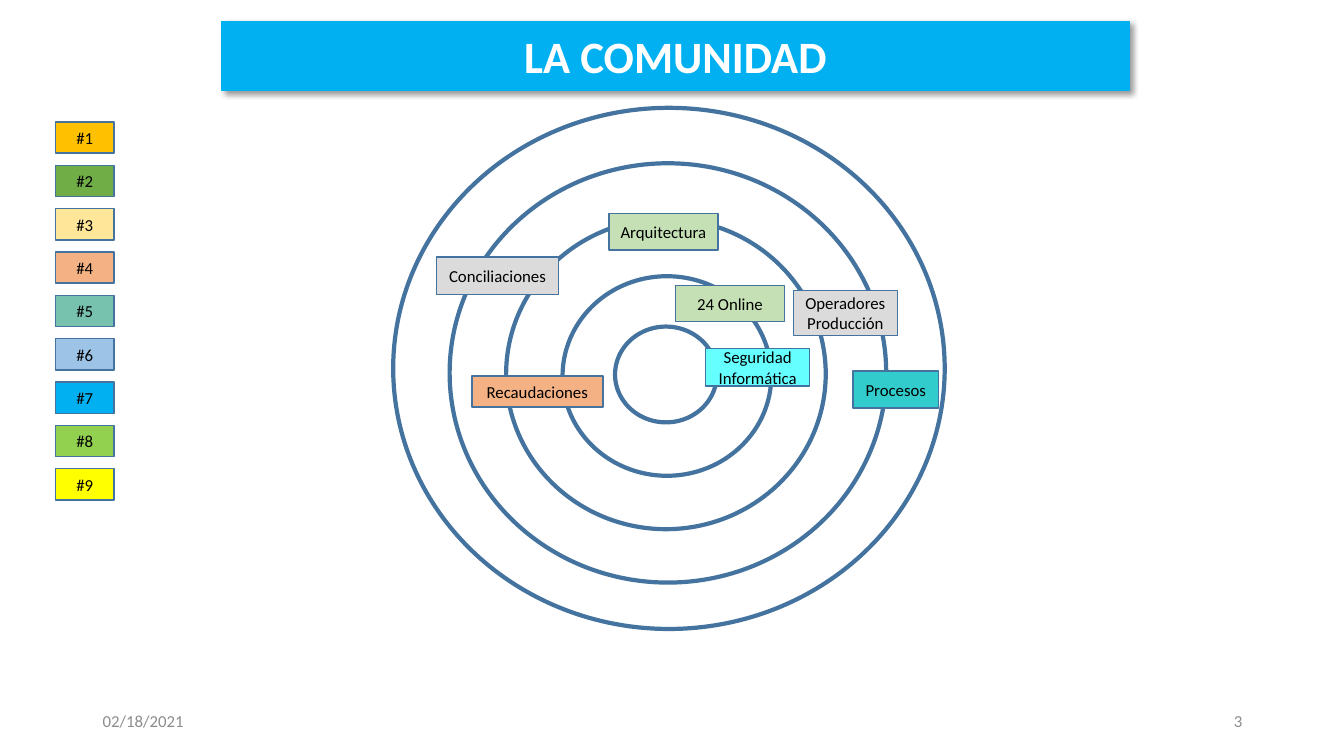
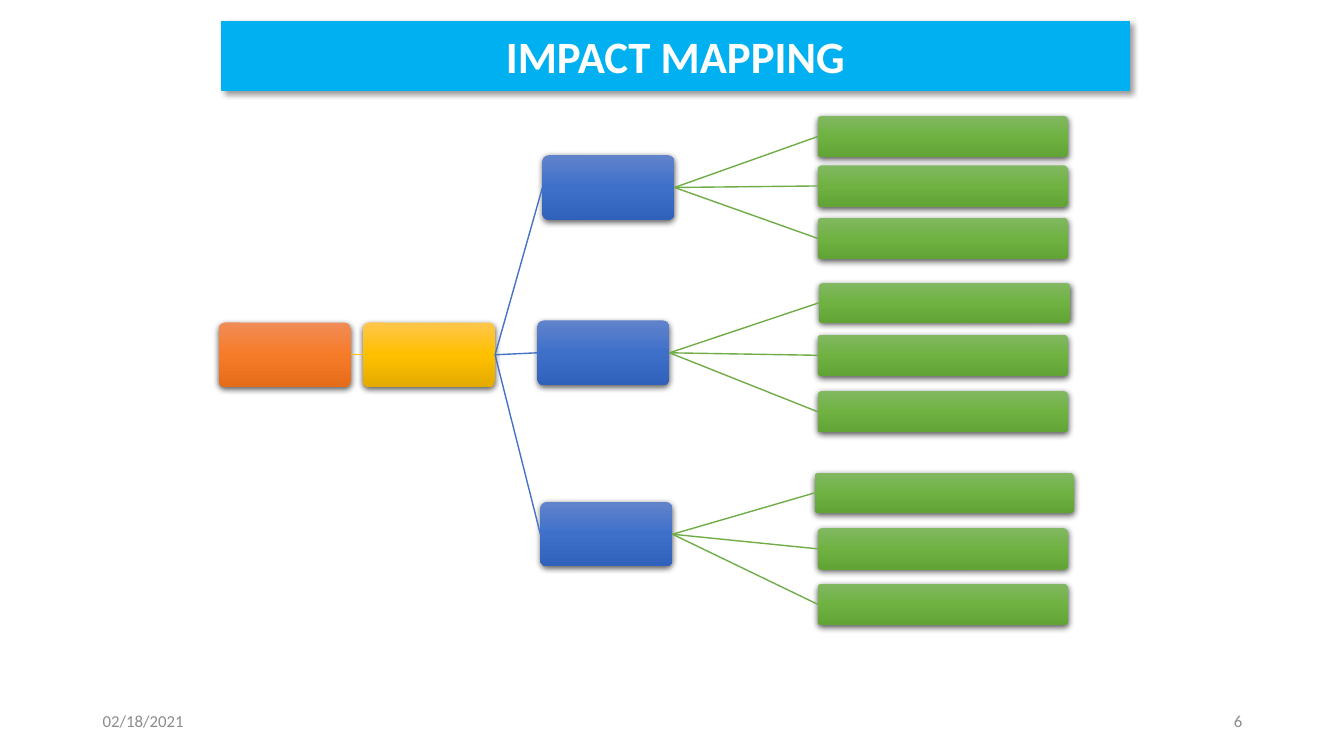
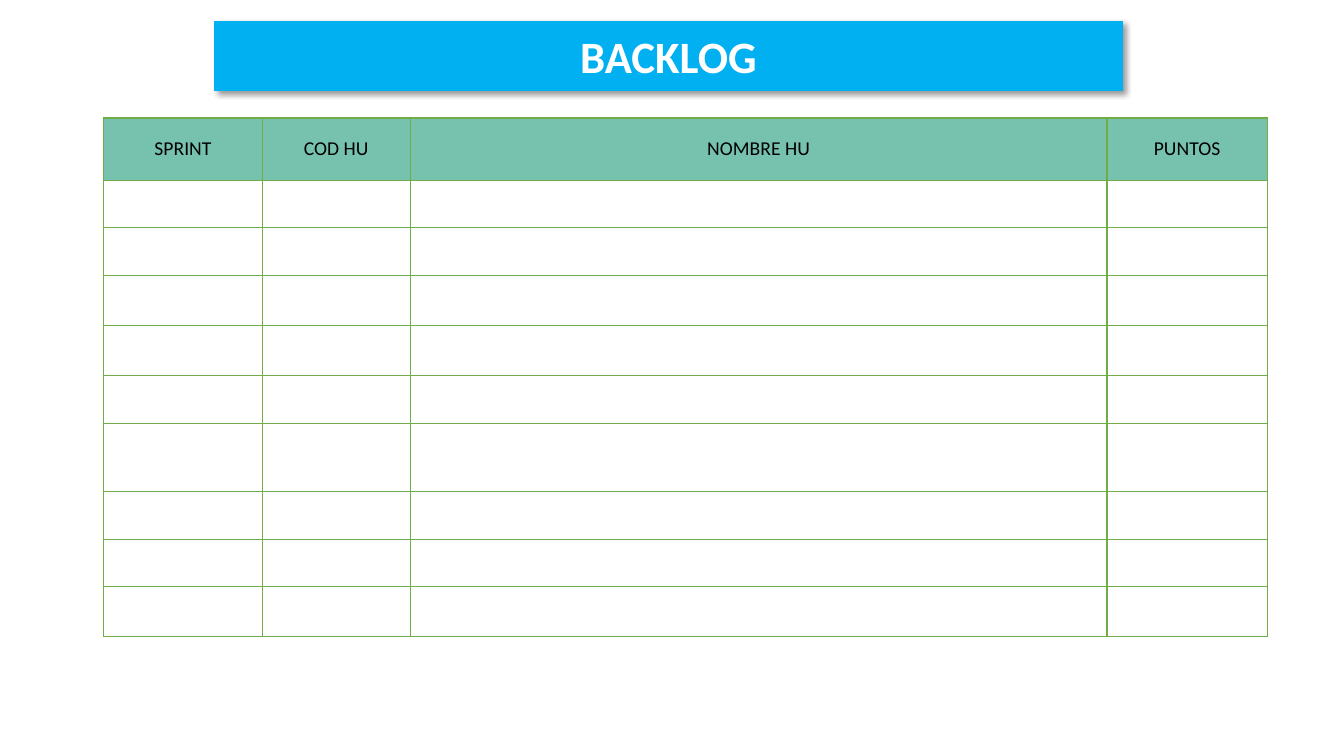
from copy import deepcopy

from lxml.etree import SubElement
from pptx import Presentation
from pptx.dml.color import RGBColor
from pptx.enum.shapes import MSO_CONNECTOR, MSO_SHAPE
from pptx.enum.text import MSO_ANCHOR, PP_ALIGN
from pptx.oxml.ns import qn
from pptx.util import Emu, Pt

PX = 9144
FONT = "Calibri"
WHITE = RGBColor(0xFF, 0xFF, 0xFF)
BLACK = RGBColor(0x00, 0x00, 0x00)
GRAY = RGBColor(0x8C, 0x8C, 0x8C)
SKY = RGBColor(0x00, 0xB0, 0xF0)
STEEL = RGBColor(0x43, 0x73, 0x9E)
SILVER = RGBColor(0xDB, 0xDB, 0xDB)
SAGE = RGBColor(0xC5, 0xE0, 0xB4)
TURQUOISE = RGBColor(0x33, 0xCC, 0xCC)
AQUA = RGBColor(0x66, 0xFF, 0xFF)
PEACH = RGBColor(0xF4, 0xB1, 0x83)
AMBER = RGBColor(0xFF, 0xC0, 0x00)
GREEN = RGBColor(0x70, 0xAD, 0x47)
CREAM = RGBColor(0xFF, 0xE6, 0x99)
TEAL = RGBColor(0x76, 0xC2, 0xAF)
PALE_BLUE = RGBColor(0x9D, 0xC3, 0xE6)
LIME = RGBColor(0x92, 0xD0, 0x50)
YELLOW = RGBColor(0xFF, 0xFF, 0x00)
BLUE = RGBColor(0x44, 0x72, 0xC4)

ORANGE_GRADIENT = (RGBColor(0xF1, 0x8C, 0x57), RGBColor(0xF6, 0x7B, 0x28), RGBColor(0xE5, 0x6C, 0x19))
AMBER_GRADIENT = (RGBColor(0xFF, 0xC6, 0x4B), AMBER, RGBColor(0xE3, 0xAB, 0x00))
BLUE_GRADIENT = (RGBColor(0x61, 0x83, 0xCB), RGBColor(0x3E, 0x70, 0xCA), RGBColor(0x30, 0x62, 0xBB))
GREEN_GRADIENT = (RGBColor(0x81, 0xB8, 0x61), RGBColor(0x6F, 0xB2, 0x42), RGBColor(0x62, 0xA3, 0x36))

DATE = "02/18/2021"
RINGS = [(390, 107, 547, 517), (446, 162, 433, 416), (502, 217, 317, 308),
         (558, 274, 207, 198), (610, 324, 101, 95)]
TEAMS = [
    ("Operadores Producción", (787, 288, 103, 45), SILVER),
    ("Arquitectura", (604, 212, 108, 36), SAGE),
    ("Conciliaciones", (433, 255, 121, 37), SILVER),
    ("Procesos", (846, 368, 85, 37), TURQUOISE),
    ("24 Online", (670, 283, 108, 36), SAGE),
    ("Seguridad Informática", (700, 346, 103, 37), AQUA),
    ("Recaudaciones", (468, 373, 130, 31), PEACH),
]
LEGEND_COLORS = [AMBER, GREEN, CREAM, PEACH, TEAL, PALE_BLUE, SKY, LIME, YELLOW]
LEGEND_LEFT, LEGEND_TOP, LEGEND_PITCH = 55, 121, 43

NODE_SIZE = (131, 64)
GOAL = (217, 320)
ACTOR = (360, 320)
IMPACTS = [
    ((538, 154), [(811, 115, 248, 41), (811, 164, 248, 41), (811, 216, 248, 41)]),
    ((533, 318), [(812, 281, 250, 39), (811, 332, 248, 41), (811, 388, 248, 41)]),
    ((536, 498), [(808, 469, 257, 40), (811, 524, 248, 41), (811, 579, 248, 41)]),
]

BACKLOG_HEADINGS = ["SPRINT", "COD HU", "NOMBRE HU", "PUNTOS"]
BACKLOG_COLUMNS = [157, 147, 691, 159]
BACKLOG_ROWS = [62, 47, 47, 50, 50, 47, 68, 47, 47, 50]


def px(*lengths):
    return [Emu(length * PX) for length in lengths]


def write(text_frame, text, size, color, align, bold=False):
    text_frame.text = text
    text_frame.word_wrap = True
    text_frame.vertical_anchor = MSO_ANCHOR.MIDDLE
    paragraph = text_frame.paragraphs[0]
    paragraph.alignment = align
    font = paragraph.runs[0].font
    font.name, font.size, font.bold = FONT, Pt(size), bold
    font.color.rgb = color


def add_box(slide, kind, box, fill=None, line=None, width=1):
    shape = slide.shapes.add_shape(kind, *px(*box))
    shape.shadow.inherit = False
    if fill is None:
        shape.fill.background()
    else:
        shape.fill.solid()
        shape.fill.fore_color.rgb = fill
    if line is None:
        shape.line.fill.background()
    else:
        shape.line.color.rgb = line
        shape.line.width = Pt(width)
    return shape


def add_shadow(shape, opacity, blur, distance, angle):
    effects = shape._element.spPr.find(qn("a:effectLst"))
    shadow = SubElement(effects, qn("a:outerShdw"), blurRad=str(Pt(blur)), dist=str(Pt(distance)),
                        dir=str(angle * 60000), algn="ctr", rotWithShape="0")
    color = SubElement(shadow, qn("a:srgbClr"), val=str(BLACK))
    SubElement(color, qn("a:alpha"), val=str(opacity * 1000))


def add_title(slide, text, left=220):
    band = add_box(slide, MSO_SHAPE.RECTANGLE, (left, 21, 900, 69), SKY, SKY, 0.75)
    add_shadow(band, 40, 4, 3, 45)
    write(band.text_frame, text, 32, WHITE, PP_ALIGN.CENTER, True)


def add_footer(slide, number):
    for text, left, align in ((DATE, 92, PP_ALIGN.LEFT), (number, 942, PP_ALIGN.RIGHT)):
        shape = slide.shapes.add_textbox(*px(left, 695, 300, 40))
        write(shape.text_frame, text, 12, GRAY, align)


def add_label(slide, text, box, fill):
    shape = add_box(slide, MSO_SHAPE.RECTANGLE, box, fill, STEEL)
    write(shape.text_frame, text, 12, BLACK, PP_ALIGN.CENTER)


def add_node(slide, box, gradient):
    shape = add_box(slide, MSO_SHAPE.ROUNDED_RECTANGLE, box)
    shape.adjustments[0] = 0.1
    shape.fill.gradient()
    shape.fill.gradient_angle = 270
    stops = shape._element.spPr.find(".//" + qn("a:gsLst"))
    stops.append(deepcopy(stops[0]))
    for stop, color, position in zip(shape.fill.gradient_stops, gradient, (0, 0.5, 1)):
        stop.color.rgb = color
        stop.position = position
    add_shadow(shape, 63, 4.5, 1.5, 90)
    return shape


def link(slide, parent, child, color):
    connector = slide.shapes.add_connector(MSO_CONNECTOR.STRAIGHT, 0, 0, 0, 0)
    connector.begin_connect(parent, 3)
    connector.end_connect(child, 1)
    connector.line.color.rgb = color
    connector.line.width = Pt(1)
    SubElement(connector._element.spPr, qn("a:effectLst"))


def add_borders(cell, color):
    properties = cell._tc.get_or_add_tcPr()
    for side in ("a:lnL", "a:lnR", "a:lnT", "a:lnB"):
        line = SubElement(properties, qn(side), w=str(Pt(1)))
        fill = SubElement(line, qn("a:solidFill"))
        SubElement(fill, qn("a:srgbClr"), val=str(color))


def build_community(slide):
    add_footer(slide, "3")
    add_title(slide, "LA COMUNIDAD")
    for ring in RINGS:
        add_box(slide, MSO_SHAPE.OVAL, ring, line=STEEL, width=3)
    for team in TEAMS:
        add_label(slide, *team)
    for index, color in enumerate(LEGEND_COLORS):
        box = (LEGEND_LEFT, LEGEND_TOP + index * LEGEND_PITCH, 58, 31)
        add_label(slide, f"#{index + 1}", box, color)


def build_impact_map(slide):
    add_footer(slide, "6")
    add_title(slide, "IMPACT MAPPING")
    goal = add_node(slide, GOAL + NODE_SIZE, ORANGE_GRADIENT)
    actor = add_node(slide, ACTOR + NODE_SIZE, AMBER_GRADIENT)
    link(slide, goal, actor, AMBER)
    for corner, deliverables in IMPACTS:
        impact = add_node(slide, corner + NODE_SIZE, BLUE_GRADIENT)
        link(slide, actor, impact, BLUE)
        for box in deliverables:
            link(slide, impact, add_node(slide, box, GREEN_GRADIENT), GREEN)


def build_backlog(slide):
    add_title(slide, "BACKLOG", 213)
    frame = slide.shapes.add_table(len(BACKLOG_ROWS), len(BACKLOG_COLUMNS),
                                   *px(103, 117, sum(BACKLOG_COLUMNS), sum(BACKLOG_ROWS)))
    table = frame.table
    table.first_row = table.horz_banding = False
    for column, width in zip(table.columns, px(*BACKLOG_COLUMNS)):
        column.width = width
    for row, height in zip(table.rows, px(*BACKLOG_ROWS)):
        row.height = height
    for cell in table.iter_cells():
        add_borders(cell, GREEN)
        cell.fill.background()
    for cell, heading in zip(table.rows[0].cells, BACKLOG_HEADINGS):
        cell.fill.solid()
        cell.fill.fore_color.rgb = TEAL
        cell.margin_left = cell.margin_right = cell.margin_top = cell.margin_bottom = 0
        write(cell.text_frame, heading, 14, BLACK, PP_ALIGN.CENTER)
        cell.vertical_anchor = MSO_ANCHOR.MIDDLE


def main():
    presentation = Presentation()
    presentation.slide_width, presentation.slide_height = px(1333, 750)
    for build in (build_community, build_impact_map, build_backlog):
        build(presentation.slides.add_slide(presentation.slide_layouts[6]))
    presentation.save("out.pptx")


if __name__ == "__main__":
    main()
